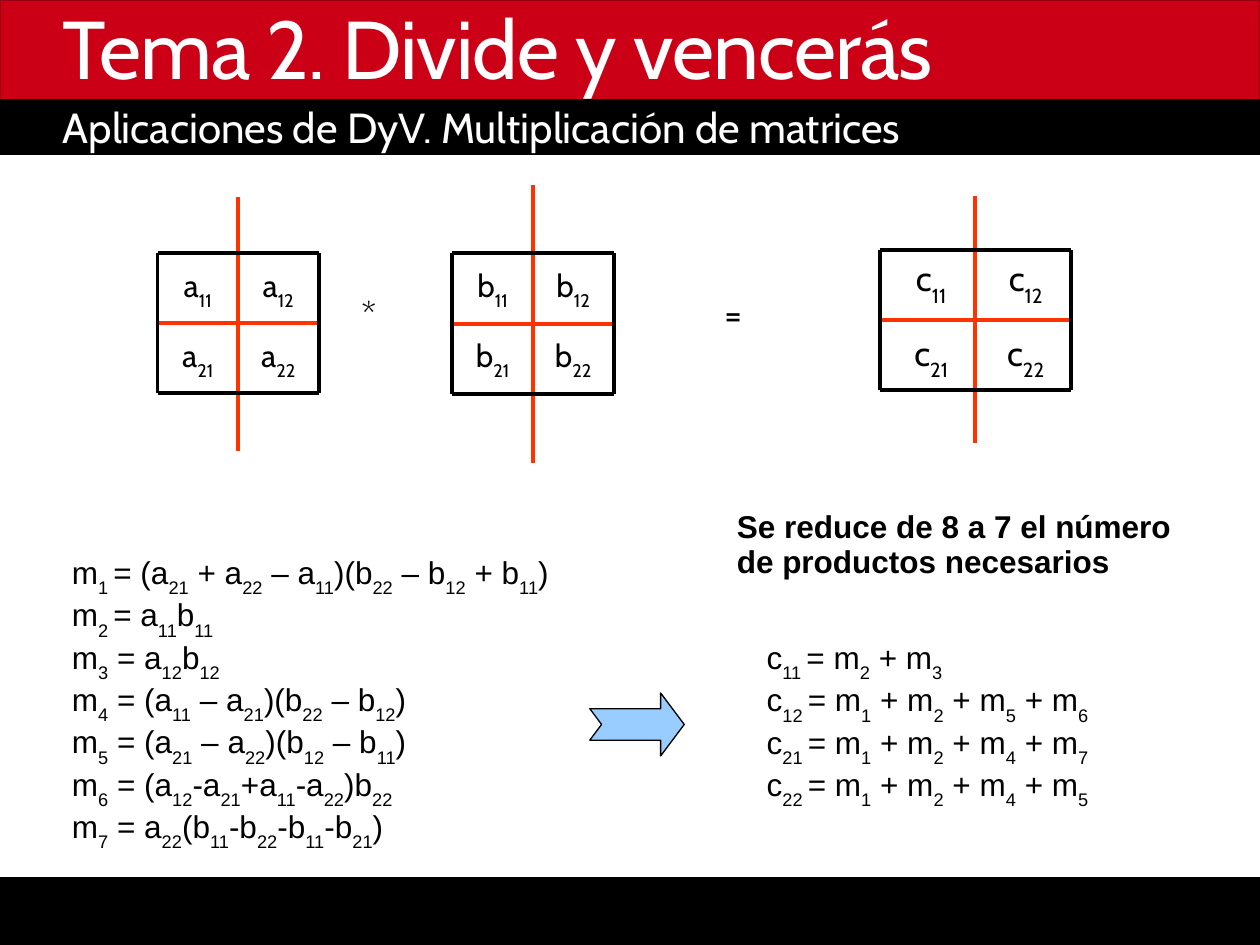
import pptx
import pptx.dml.color
import pptx.enum.shapes
import pptx.enum.text
import pptx.oxml.ns
import pptx.util
from lxml import etree

Pt = pptx.util.Pt
Shape = pptx.enum.shapes.MSO_SHAPE
Anchor = pptx.enum.text.MSO_ANCHOR
Align = pptx.enum.text.PP_ALIGN


def color(code):
    return pptx.dml.color.RGBColor.from_string(code)


def write(box, lines, size, font="Arial", ink="000000", bold=False,
          align=Align.LEFT, anchor=Anchor.TOP, space=1.0, wrap=True):
    """Add a text box; every second part between bars is a subscript."""
    frame = slide.shapes.add_textbox(*[Pt(n) for n in box]).text_frame
    frame.word_wrap = wrap
    frame.vertical_anchor = anchor
    for i, line in enumerate(lines):
        para = frame.paragraphs[0] if i == 0 else frame.add_paragraph()
        para.alignment = align
        para.line_spacing = space
        para.font.size = Pt(size)
        para.font.name = font
        para.font.bold = bold
        para.font.color.rgb = color(ink)
        for j, part in enumerate(line.split("|")):
            if part:
                run = para.add_run()
                run.text = part
                if j % 2:
                    run.font._element.set("baseline", "-33000")
    return frame


deck = pptx.Presentation()
deck.slide_width = Pt(720)
deck.slide_height = Pt(540)
slide = deck.slides.add_slide(deck.slide_layouts[6])

# Bands and arrow
for kind, box, fill, edge, width in [
    (Shape.RECTANGLE, (0, 502, 720, 38), "000000", "000000", 1.25),
    (Shape.RECTANGLE, (0, 0, 720, 57.3), "CB0017", "960011", 1.25),
    (Shape.RECTANGLE, (0, 57.3, 720, 30.7), "000000", "000000", 1.25),
    (Shape.NOTCHED_RIGHT_ARROW, (337, 396, 54, 36), "99CCFF", "000000", 0.75),
]:
    shape = slide.shapes.add_shape(kind, *[Pt(n) for n in box])
    shape.shadow.inherit = False
    shape.fill.solid()
    shape.fill.fore_color.rgb = color(fill)
    shape.line.color.rgb = color(edge)
    shape.line.width = Pt(width)
shape.adjustments[0] = 0.5
shape.adjustments[1] = 0.375

# Matrices: name, frame box, ends of the upright divider,
# then label size, first label box and label steps
matrices = [
    ("a", (90, 144.8, 92.2, 80), (112.5, 257.5), 18, (90, 144.8, 46, 40), (46, 40)),
    ("b", (258.5, 144.8, 92.2, 80.4), (105.5, 264.5), 18, (258.5, 144.8, 46, 40), (46, 40)),
    ("c", (502.8, 143, 109.2, 80), (112.3, 253.4), 20, (502.6, 143.3, 59, 36), (54, 42.5)),
]
for name, (x, y, w, h), (top, end), size, first, step in matrices:
    right, base = x + w, y + h
    midx, midy = x + w / 2, y + h / 2
    for ink, ends in [
        ("FF3300", (midx, top, midx, end)),
        ("FF3300", (x, midy, right, midy)),
        ("000000", (x, y, right, y)),
        ("000000", (x, base, right, base)),
        ("000000", (x, y, x, base)),
        ("000000", (right, y, right, base)),
    ]:
        line = slide.shapes.add_connector(
            pptx.enum.shapes.MSO_CONNECTOR.STRAIGHT, *[Pt(n) for n in ends])
        line.line.color.rgb = color(ink)
        line.line.width = Pt(2.25)
        etree.SubElement(line._element.spPr, pptx.oxml.ns.qn("a:effectLst"))
    for row in range(2):
        for col in range(2):
            cell = (first[0] + col * step[0], first[1] + row * step[1], *first[2:])
            write(cell, [f"{name}|{row + 1}{col + 1}"], size, "Cabin",
                  align=Align.CENTER, anchor=Anchor.MIDDLE)

write((199.5, 163.5, 50, 32), ["*"], 20, "Cabin")
write((385, 163.5, 68, 32), ["="], 20, "Cabin", align=Align.CENTER)

# Formulas
write((34, 312.5, 292, 178.5), [
    "m|1 |= (a|21| + a|22| – a|11|)(b|22| – b|12| + b|11|)",
    "m|2 |= a|11|b|11",
    "m|3| = a|12|b|12",
    "m|4| = (a|11| – a|21|)(b|22| – b|12|)",
    "m|5| = (a|21| – a|22|)(b|12| – b|11|)",
    "m|6| = (a|12|-a|21|+a|11|-a|22|)b|22",
    "m|7| = a|22|(b|11|-b|22|-b|11|-b|21|)",
], 18, space=0.93, wrap=False)
write((431, 361, 198, 105), [
    "c|11 |= m|2| + m|3",
    "c|12 |= m|1| + m|2| + m|5| + m|6",
    "c|21 |= m|1| + m|2| + m|4| + m|7",
    "c|22 |= m|1| + m|2| + m|4| + m|5",
], 18, space=0.93, wrap=False)
write((414, 288, 288, 47.5), ["Se reduce de 8 a 7 el número de productos necesarios"],
      18, bold=True, space=0.93)

# Headings
title = write((28.8, 5, 666, 52.5), ["Tema 2. Divide y vencerás"], 46.8, "Cabin",
              "FFFFFF", anchor=Anchor.BOTTOM, space=0.75)
title.paragraphs[0].runs[0].font._element.set("spc", "-50")
write((28.8, 57.6, 666, 34.5), ["Aplicaciones de DyV. Multiplicación de matrices"],
      24, "Cabin", "FFFFFF", space=0.9)

deck.save("out.pptx")
